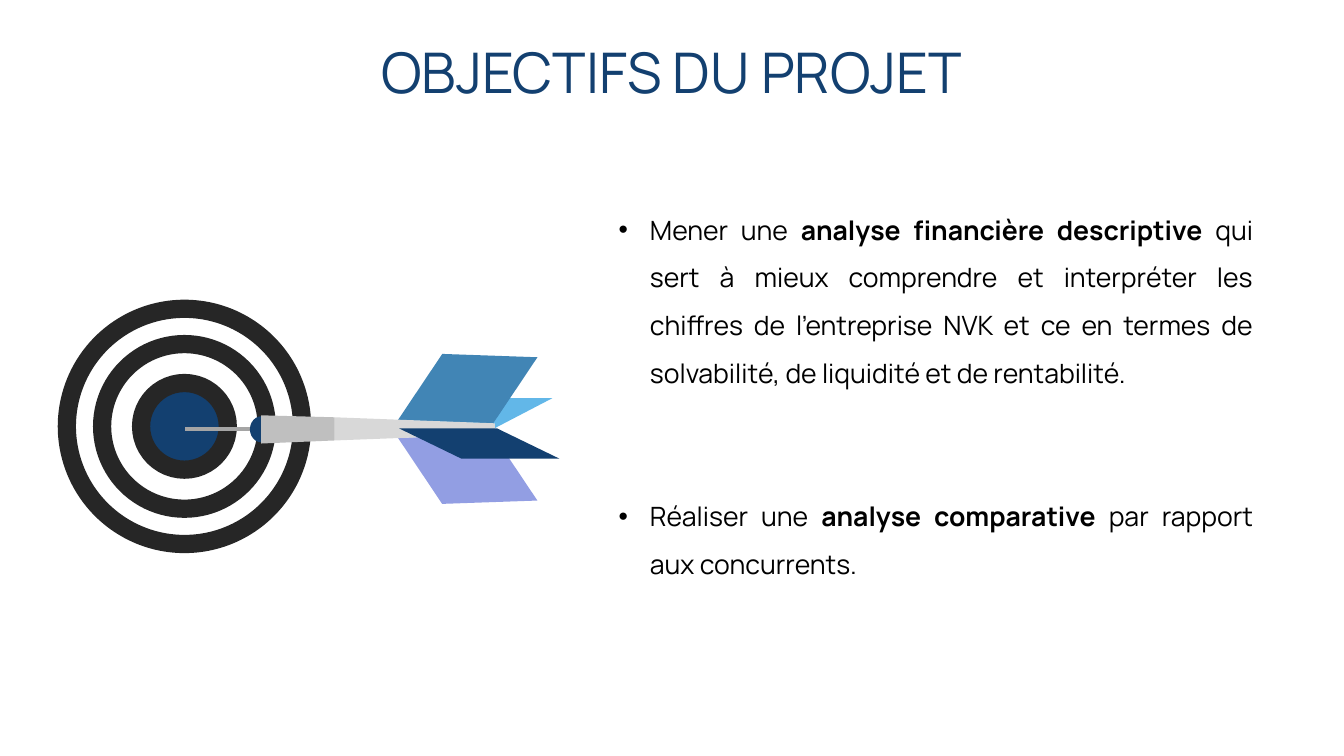
from dataclasses import dataclass

from lxml import etree
from pptx import Presentation
from pptx.dml.color import RGBColor
from pptx.enum.shapes import MSO_SHAPE as Preset
from pptx.enum.text import MSO_ANCHOR as Anchor, PP_ALIGN as Align
from pptx.oxml.ns import qn
from pptx.util import Emu, Inches, Pt

WIDTH, HEIGHT = Inches(13.33), Inches(7.5)
COLUMNS, ROWS = 40, 22.5
FONT = "Manrope"
NAVY, BLACK, WHITE, CHARCOAL = "134070", "000000", "FFFFFF", "262626"
CENTRE = (5.49, 12.69)


@dataclass(frozen=True)
class Box:
    left: float
    top: float
    width: float
    height: float


@dataclass(frozen=True)
class Ring:
    diameter: float
    fill: str


@dataclass(frozen=True)
class Part:
    preset: Preset
    box: Box
    fill: str
    adjustments: tuple[float, ...]
    rotation: float = 0
    flipped: bool = False


@dataclass(frozen=True)
class Outline:
    points: tuple[tuple[float, float], ...]
    fill: str


@dataclass(frozen=True)
class Objective:
    before: str
    bold: str
    after: str
    gap: float = 0


RINGS = (Ring(7, WHITE), Ring(4.9, WHITE), Ring(2.58, NAVY))
DART = (
    Part(Preset.PARALLELOGRAM, Box(11.85, 11.85, 4.59, 0.9), "62B7E8", (1.92,), 180),
    Outline(((5.5, 12.72), (7.9, 12.72), (7.9, 12.84), (5.5, 12.84)), "A5A5A5"),
    Part(Preset.PARALLELOGRAM, Box(11.88, 12.96, 4.08, 2.01), "929EE3", (0.62,), 178, True),
    Part(Preset.PARALLELOGRAM, Box(11.88, 10.56, 4.08, 2.01), "4185B5", (0.62,), 182),
    Outline(((9.96, 12.42), (14.73, 12.6), (14.73, 12.93), (9.96, 13.11)), "D8D8D8"),
    Part(Preset.CHORD, Box(7.44, 12.39, 0.69, 0.78), NAVY, (53.91, 162)),
    Outline(((7.77, 12.36), (9.96, 12.42), (9.96, 13.11), (7.77, 13.2)), "BFBFBF"),
    Part(Preset.PARALLELOGRAM, Box(11.88, 12.75, 4.77, 0.9), NAVY, (2.06,), 180, True),
)
OBJECTIVES = (
    Objective(
        "Mener une ",
        "analyse financière descriptive",
        " qui sert à mieux comprendre et interpréter les chiffres de l’entreprise NVK"
        " et ce en termes de solvabilité, de liquidité et de rentabilité.",
    ),
    Objective("Réaliser une ", "analyse comparative", " par rapport aux concurrents.", 68),
)


def colour(value: str) -> RGBColor:
    """Turn a hex string into a colour."""
    return RGBColor.from_string(value)


def across(columns: float) -> Emu:
    """Turn grid columns into a length."""
    return Emu(round(columns * WIDTH / COLUMNS))


def down(rows: float) -> Emu:
    """Turn grid rows into a length."""
    return Emu(round(rows * HEIGHT / ROWS))


def frame(box: Box) -> tuple[Emu, Emu, Emu, Emu]:
    """Give the position and size of a box on the slide."""
    return across(box.left), down(box.top), across(box.width), down(box.height)


def paint(shape, fill: str) -> None:
    """Fill a shape plainly, with no line or shadow."""
    shape.shadow.inherit = False
    shape.fill.solid()
    shape.fill.fore_color.rgb = colour(fill)
    shape.line.fill.background()


def draw_ring(slide, ring: Ring) -> None:
    """Draw one ring around the centre of the target."""
    radius = ring.diameter / 2
    box = Box(CENTRE[0] - radius, CENTRE[1] - radius, ring.diameter, ring.diameter)
    shape = slide.shapes.add_shape(Preset.OVAL, *frame(box))
    paint(shape, ring.fill)
    shape.line.color.rgb = colour(CHARCOAL)
    shape.line.width = Pt(13)


def draw_part(slide, part: Part) -> None:
    """Draw a preset part of the dart."""
    shape = slide.shapes.add_shape(part.preset, *frame(part.box))
    for index, value in enumerate(part.adjustments):
        shape.adjustments[index] = value
    shape.rotation = part.rotation
    if part.flipped:
        shape._element.spPr.find(qn("a:xfrm")).set("flipH", "1")
    paint(shape, part.fill)


def draw_outline(slide, outline: Outline) -> None:
    """Draw a tapered part of the dart from its corners."""
    start, *others = [(across(x), down(y)) for x, y in outline.points]
    builder = slide.shapes.build_freeform(*start)
    builder.add_line_segments(others, close=True)
    paint(builder.convert_to_shape(), outline.fill)


def add_text_frame(slide, box: Box):
    """Add a wrapping text box and return its text frame."""
    text_frame = slide.shapes.add_textbox(*frame(box)).text_frame
    text_frame.word_wrap = True
    return text_frame


def style(paragraph, size: float, value: str, alignment: Align, spacing: float) -> None:
    """Set the font and layout of a paragraph."""
    paragraph.alignment = alignment
    paragraph.line_spacing = spacing
    paragraph.font.name = FONT
    paragraph.font.size = Pt(size)
    paragraph.font.color.rgb = colour(value)


def add_bullet(paragraph) -> None:
    """Give a paragraph a bullet with a hanging indent."""
    properties = paragraph._p.get_or_add_pPr()
    properties.set("marL", str(Inches(0.31)))
    properties.set("indent", str(Inches(-0.36)))
    etree.SubElement(properties, qn("a:buFont")).set("typeface", "Arial")
    etree.SubElement(properties, qn("a:buChar")).set("char", "•")


def write_objective(paragraph, objective: Objective) -> None:
    """Write one bulleted objective with its key words in bold."""
    add_bullet(paragraph)
    style(paragraph, 19, BLACK, Align.JUSTIFY, 1.5)
    if objective.gap:
        paragraph.space_before = Pt(objective.gap)
    for text in (objective.before, objective.bold, objective.after):
        run = paragraph.add_run()
        run.text = text
        if text == objective.bold:
            run.font.bold = True


def main() -> None:
    """Build the slide and save it."""
    presentation = Presentation()
    presentation.slide_width, presentation.slide_height = WIDTH, HEIGHT
    slide = presentation.slides.add_slide(presentation.slide_layouts[6])

    title = add_text_frame(slide, Box(1, 1.05, 37.98, 2.37))
    title.vertical_anchor = Anchor.MIDDLE
    title.text = "OBJECTIFS DU PROJET"
    style(title.paragraphs[0], 40, NAVY, Align.CENTER, 0.9)

    for ring in RINGS:
        draw_ring(slide, ring)
    for piece in DART:
        draw = draw_part if isinstance(piece, Part) else draw_outline
        draw(slide, piece)

    body = add_text_frame(slide, Box(18.12, 5.73, 19.47, 10.65))
    for index, objective in enumerate(OBJECTIVES):
        write_objective(body.add_paragraph() if index else body.paragraphs[0], objective)
    presentation.save("out.pptx")


if __name__ == "__main__":
    main()
